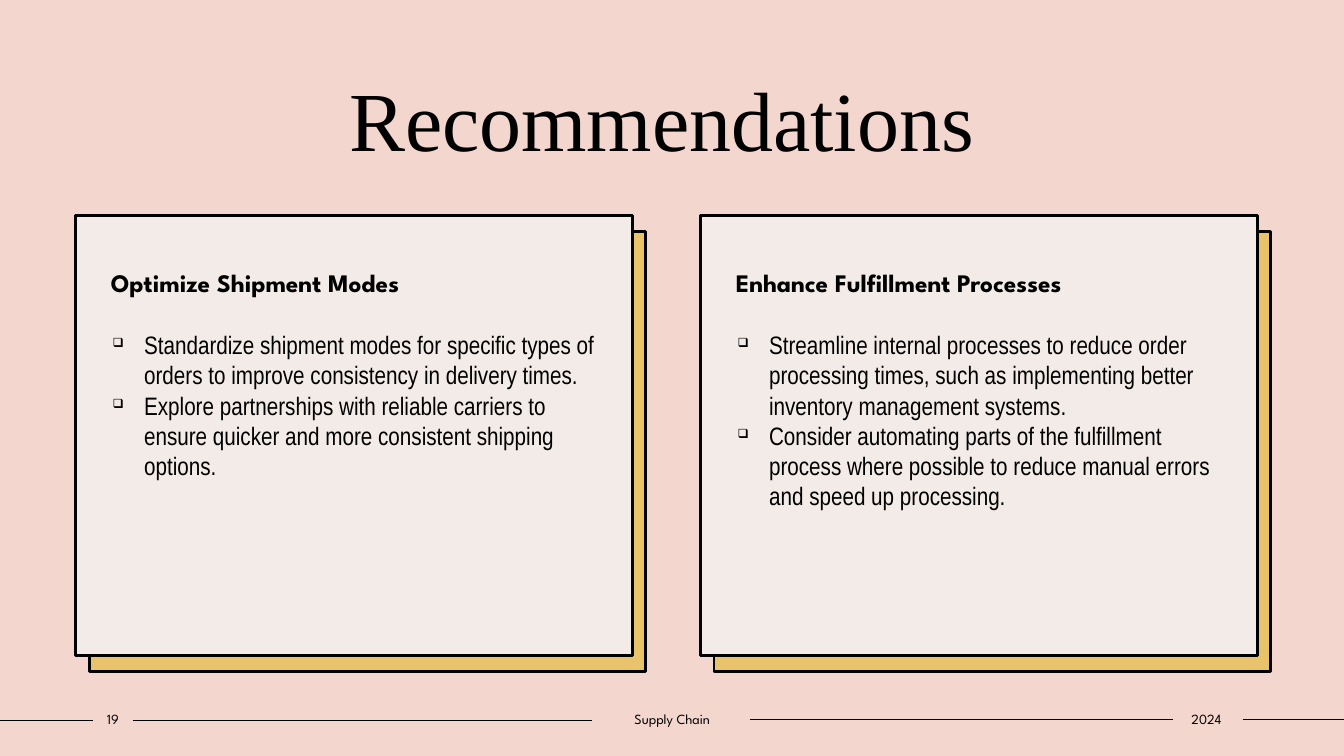
"""Build the Recommendations slide with two offset cards and a ruled footer."""
from dataclasses import dataclass

from lxml import etree
from pptx import Presentation
from pptx import util as u
from pptx.dml.color import RGBColor
from pptx.enum import shapes, text
from pptx.oxml.ns import qn

COLORS = {"bg": "F3D6CD", "card": "F3EBE8", "gold": "E9C369", "ink": "000000"}
CARD_W, CARD_H, CARD_Y = 397.7, 313.9, 154.1
SPARTAN = "League Spartan"
INDENT = 22.5


@dataclass
class Card:
    x: float
    heading: str
    bullets: list[str]


@dataclass
class Rule:
    x1: float
    x2: float
    y: float


@dataclass
class Label:
    x: float
    w: float
    label: str


CARDS = [
    Card(54, "Optimize Shipment Modes", [
        "Standardize shipment modes for specific types of orders to improve consistency in delivery times.",
        "Explore partnerships with reliable carriers to ensure quicker and more consistent shipping options.",
    ]),
    Card(500.4, "Enhance Fulfillment Processes", [
        "Streamline internal processes to reduce order processing times, such as implementing better "
        "inventory management systems.",
        "Consider automating parts of the fulfillment process where possible to reduce manual errors "
        "and speed up processing.",
    ]),
]
RULES = [Rule(0, 66.2, 514.6), Rule(95, 422.6, 514.6), Rule(535.7, 838.1, 514), Rule(887.8, 960, 514)]
LABELS = [Label(66.2, 28.8, "19"), Label(422.6, 115.2, "Supply Chain"), Label(836.6, 50.4, "2024")]


def rgb(name: str) -> RGBColor:
    return RGBColor.from_string(COLORS[name])


def set_text(sp, lines: list[str], *, font: str, size: float, bold: bool = False,
             align=text.PP_ALIGN.LEFT, anchor=text.MSO_ANCHOR.TOP,
             insets=(7.2, 3.6, 7.2, 3.6), spacing: float = 1.0, bullet: str = "") -> None:
    tf = sp.text_frame
    tf.word_wrap = True
    tf.vertical_anchor = anchor
    tf.margin_left, tf.margin_top, tf.margin_right, tf.margin_bottom = map(u.Pt, insets)
    for i, line in enumerate(lines):
        p = tf.paragraphs[0] if i == 0 else tf.add_paragraph()
        p.alignment = align
        p.line_spacing = spacing
        if bullet:
            pPr = p._p.get_or_add_pPr()
            pPr.set("marL", str(u.Pt(INDENT)))
            pPr.set("indent", str(-u.Pt(INDENT)))
            etree.SubElement(pPr, qn("a:buSzPct")).set("val", "50000")
            etree.SubElement(pPr, qn("a:buChar")).set("char", bullet)
        r = p.add_run()
        r.text = line
        r.font.name, r.font.size, r.font.bold = font, u.Pt(size), bold
        r.font.color.rgb = rgb("ink")


def add_text(s, x: float, y: float, w: float, h: float, lines: list[str], **fmt) -> None:
    sp = s.shapes.add_textbox(u.Pt(x), u.Pt(y), u.Pt(w), u.Pt(h))
    set_text(sp, lines, **fmt)


def add_rect(s, x: float, y: float, fill: str):
    sp = s.shapes.add_shape(shapes.MSO_SHAPE.RECTANGLE, u.Pt(x), u.Pt(y), u.Pt(CARD_W), u.Pt(CARD_H))
    sp.shadow.inherit = False
    sp.fill.solid()
    sp.fill.fore_color.rgb = rgb(fill)
    sp.line.color.rgb = rgb("ink")
    sp.line.width = u.Pt(2)
    return sp


def add_rule(s, rule: Rule) -> None:
    ln = s.shapes.add_connector(shapes.MSO_CONNECTOR.STRAIGHT, u.Pt(rule.x1), u.Pt(rule.y),
                                u.Pt(rule.x2), u.Pt(rule.y))
    ln.line.color.rgb = rgb("ink")
    ln.line.width = u.Pt(1)
    etree.SubElement(ln._element.spPr, qn("a:effectLst"))


def add_card(s, card: Card) -> None:
    add_rect(s, card.x + 9.7, CARD_Y + 11.5, "gold")
    sp = add_rect(s, card.x, CARD_Y, "card")
    set_text(sp, [card.heading], font=SPARTAN, size=18, bold=True,
             insets=(25.2, 39.6, 7.2, 3.6), spacing=0.9)
    add_text(s, card.x + 19.4, 231.8, 362.9, 219.6, card.bullets,
             font="Arial Narrow", size=18, bullet="❑")


def main() -> None:
    prs = Presentation()
    prs.slide_width, prs.slide_height = u.Pt(960), u.Pt(540)
    s = prs.slides.add_slide(prs.slide_layouts[6])
    s.background.fill.solid()
    s.background.fill.fore_color.rgb = rgb("bg")
    for rule in RULES:
        add_rule(s, rule)
    add_text(s, 90, 40.3, 780.5, 79.9, ["Recommendations "], font="Times New Roman", size=60,
             align=text.PP_ALIGN.CENTER, anchor=text.MSO_ANCHOR.BOTTOM, insets=(7.2, 3.6, 7.2, 0))
    for card in CARDS:
        add_card(s, card)
    for item in LABELS:
        add_text(s, item.x, 504, item.w, 19.4, [item.label], font=SPARTAN, size=10,
                 align=text.PP_ALIGN.CENTER, anchor=text.MSO_ANCHOR.MIDDLE, insets=(0, 3.6, 0, 3.6))
    prs.save("out.pptx")


if __name__ == "__main__":
    main()
